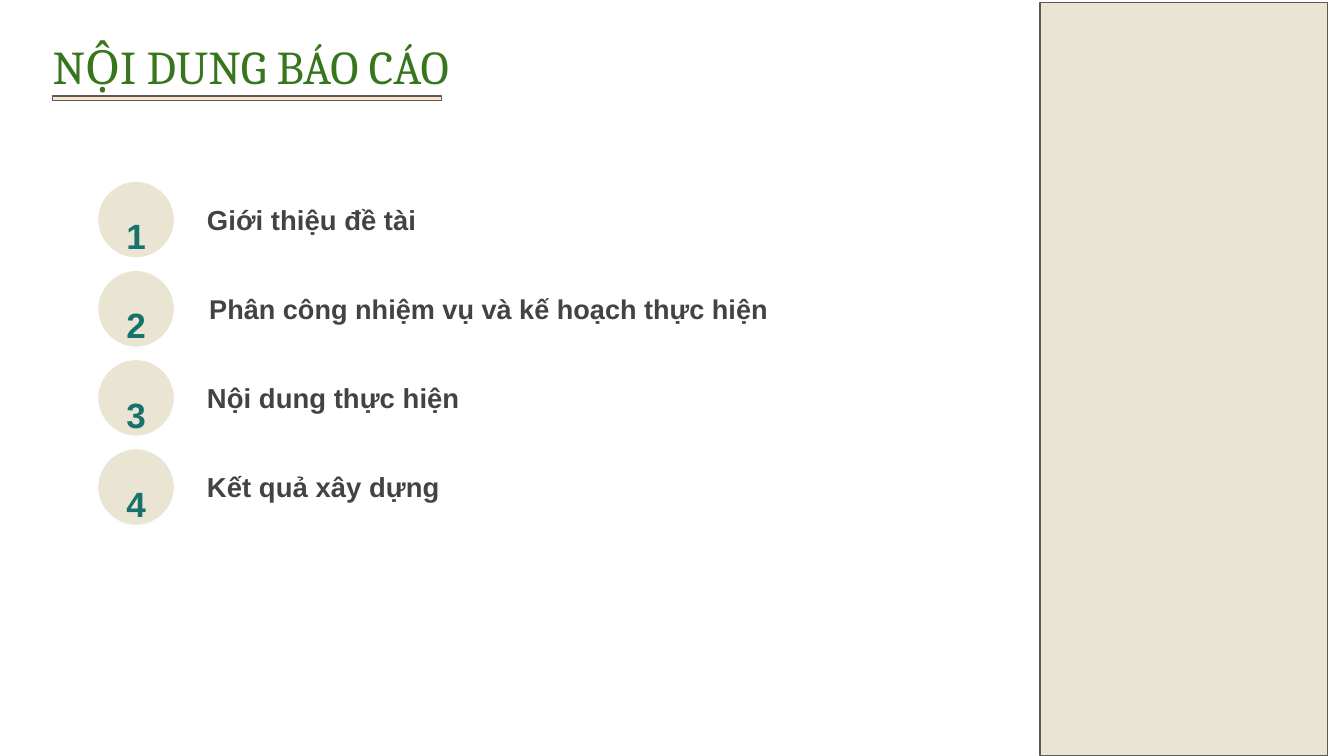
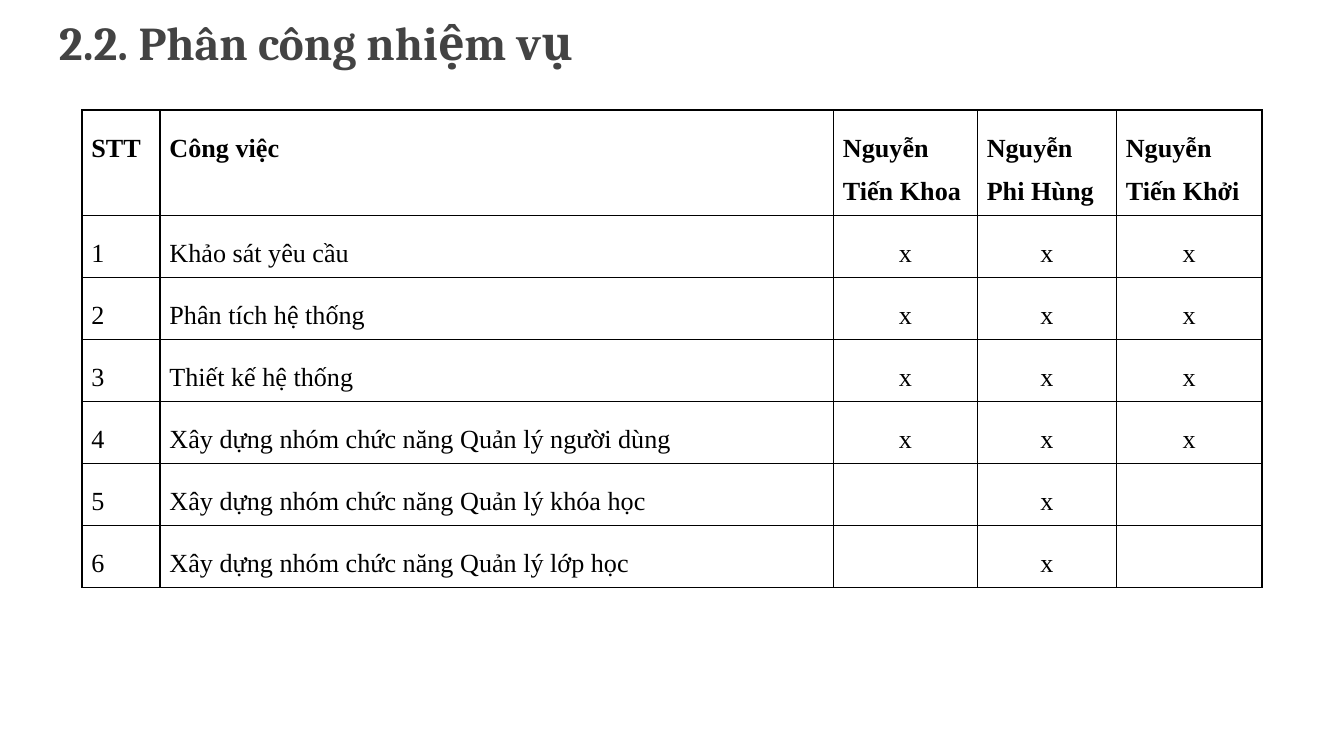
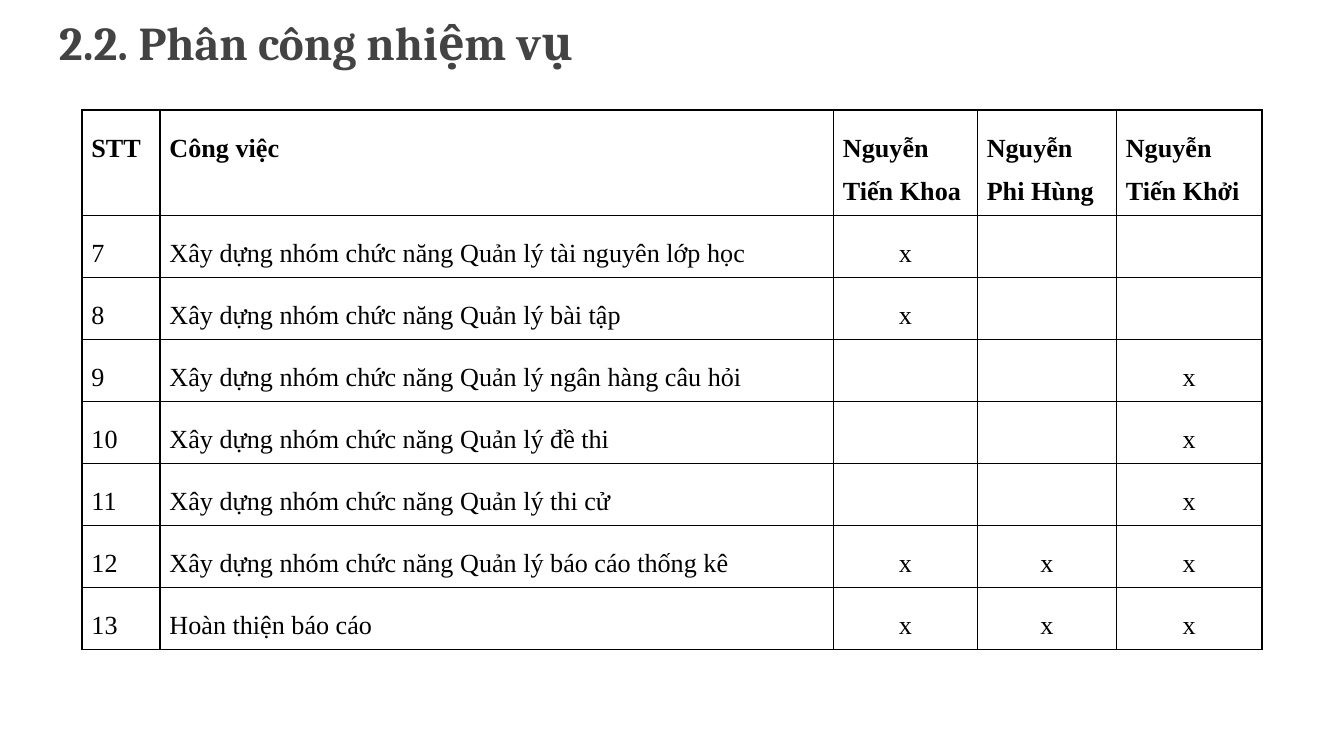
from lxml.etree import SubElement
from pptx import Presentation
from pptx.dml.color import RGBColor
from pptx.enum.shapes import MSO_SHAPE as SHAPE
from pptx.enum.text import MSO_ANCHOR as ANCHOR, MSO_AUTO_SIZE as AUTO, PP_ALIGN as ALIGN
from pptx.oxml.ns import qn
from pptx.util import Pt

WHITE = RGBColor(0xFF, 0xFF, 0xFF)
BLACK = RGBColor(0x00, 0x00, 0x00)
SAND = RGBColor(0xEA, 0xE4, 0xD2)
PEACH = RGBColor(0xFC, 0xE5, 0xCD)
GREY = RGBColor(0x59, 0x59, 0x59)
DARK = RGBColor(0x43, 0x43, 0x43)
GREEN = RGBColor(0x38, 0x76, 0x1D)
TEAL = RGBColor(0x17, 0x72, 0x6D)


def write(tf, text, font, size, color, bold, inset, align=ALIGN.LEFT, spacing=None):
    """Fill a text frame or table cell frame with one formatted run."""
    tf.word_wrap = True
    tf.margin_left = tf.margin_right = tf.margin_top = tf.margin_bottom = Pt(inset)
    p = tf.paragraphs[0]
    p.alignment = align
    p.line_spacing = spacing
    r = p.add_run()
    r.text = text
    r.font.name = font
    r.font.size = Pt(size)
    r.font.bold = bold
    r.font.color.rgb = color


def add_box(shapes, kind, left, top, width, height, fill, line, weight):
    sp = shapes.add_shape(kind, Pt(left), Pt(top), Pt(width), Pt(height))
    sp.shadow.inherit = False
    sp.fill.solid()
    sp.fill.fore_color.rgb = fill
    sp.line.color.rgb = line
    sp.line.width = Pt(weight)


prs = Presentation()
prs.slide_width, prs.slide_height = Pt(720), Pt(405)
title_only = prs.slide_layouts[5]

# Titles: text, left, top, height, colour, bold
TITLES = [
    ("NỘI DUNG BÁO CÁO", 21, 13, 34.6, GREEN, False),
    ("2.2. Phân công nhiệm vụ", 24.4, 0, 45.4, DARK, True),
    ("2.2. Phân công nhiệm vụ", 24.4, 0, 45.4, DARK, True),
]
for text, left, top, height, color, bold in TITLES:
    s = prs.slides.add_slide(title_only)
    title = s.shapes.title
    title.left, title.top, title.width, title.height = Pt(left), Pt(top), Pt(671), Pt(height)
    tf = title.text_frame
    tf.auto_size = AUTO.NONE
    tf.vertical_anchor = ANCHOR.TOP
    write(tf, text, "Cambria", 25.2, color, bold, 7.2)

# Agenda
shapes = prs.slides[0].shapes
add_box(shapes, SHAPE.RECTANGLE, 557.2, 1.4, 154, 403.4, SAND, GREY, 0.75)
add_box(shapes, SHAPE.RECTANGLE, 28.2, 51.4, 208.4, 2.4, PEACH, GREY, 0.65)

AGENDA = [  # label, left, width, size
    ("Giới thiệu đề tài", 104.4, 325, 14.7),
    ("Phân công nhiệm vụ và kế hoạch thực hiện", 105.6, 392, 14.5),
    ("Nội dung thực hiện", 104.4, 325, 14.7),
    ("Kết quả xây dựng", 104.4, 325, 14.7),
]
for i, (label, left, width, size) in enumerate(AGENDA):
    top = 97.2 + i * 47.75
    tb = shapes.add_textbox(Pt(left), Pt(top + 5), Pt(width), Pt(30.2))
    tb.text_frame.auto_size = AUTO.SHAPE_TO_FIT_TEXT
    write(tb.text_frame, label, "Arial", size, DARK, True, 6.5)

    badge = shapes.add_group_shape().shapes
    add_box(badge, SHAPE.OVAL, 52.4, top, 41, 41, SAND, WHITE, 0.52)
    tb = badge.add_textbox(Pt(60.6), Pt(top + 3.8), Pt(24.6), Pt(33.2))
    tb.text_frame.auto_size = AUTO.SHAPE_TO_FIT_TEXT
    write(tb.text_frame, str(i + 1), "Arial", 18.8, TEAL, True, 5, ALIGN.CENTER, 1.4)

# Task tables
HEADER = ("STT", "Công việc", "Nguyễn Tiến Khoa", "Nguyễn Phi Hùng", "Nguyễn Tiến Khởi")
COLUMN_WIDTHS = (41.8, 360.8, 77.1, 74.5, 77.9)
BUILD = "Xây dựng nhóm chức năng Quản lý "
TASKS = [  # task, then one mark for each member
    [
        ("Khảo sát yêu cầu", "x", "x", "x"),
        ("Phân tích hệ thống", "x", "x", "x"),
        ("Thiết kế hệ thống", "x", "x", "x"),
        (BUILD + "người dùng", "x", "x", "x"),
        (BUILD + "khóa học", "", "x", ""),
        (BUILD + "lớp học", "", "x", ""),
    ],
    [
        (BUILD + "tài nguyên lớp học", "x", "", ""),
        (BUILD + "bài tập", "x", "", ""),
        (BUILD + "ngân hàng câu hỏi", "", "", "x"),
        (BUILD + "đề thi", "", "", "x"),
        (BUILD + "thi cử", "", "", "x"),
        (BUILD + "báo cáo thống kê", "x", "x", "x"),
        ("Hoàn thiện báo cáo", "x", "x", "x"),
    ],
]
number = 1
for page, tasks in enumerate(TASKS, 1):
    rows = [HEADER]
    for task in tasks:
        rows.append((str(number), *task))
        number += 1
    heights = [43] + [25] * len(tasks)
    frame = prs.slides[page].shapes.add_table(
        len(rows), len(HEADER), Pt(44), Pt(59), Pt(sum(COLUMN_WIDTHS)), Pt(sum(heights)))
    table = frame.table
    table.first_row = table.horz_banding = False
    for column, width in zip(table.columns, COLUMN_WIDTHS):
        column.width = Pt(width)
    for y, values in enumerate(rows):
        table.rows[y].height = Pt(heights[y])
        for x, value in enumerate(values):
            cell = table.cell(y, x)
            tcPr = cell._tc.get_or_add_tcPr()
            for side in ("a:lnL", "a:lnR", "a:lnT", "a:lnB"):
                ln = SubElement(tcPr, qn(side), w=str(Pt(1)))
                fill = SubElement(ln, qn("a:solidFill"))
                SubElement(fill, qn("a:srgbClr"), val=str(BLACK))
            cell.fill.background()
            cell.margin_left = cell.margin_right = Pt(5)
            cell.margin_top = cell.margin_bottom = Pt(5)
            if not value:
                continue
            is_mark = y > 0 and x > 1
            align = ALIGN.CENTER if is_mark else ALIGN.LEFT if x == 1 else ALIGN.JUSTIFY
            write(cell.text_frame, value, "Times New Roman", 14, BLACK, y == 0, 5, align, 1.5)
            cell.vertical_anchor = ANCHOR.MIDDLE if is_mark else ANCHOR.TOP

prs.save("out.pptx")
